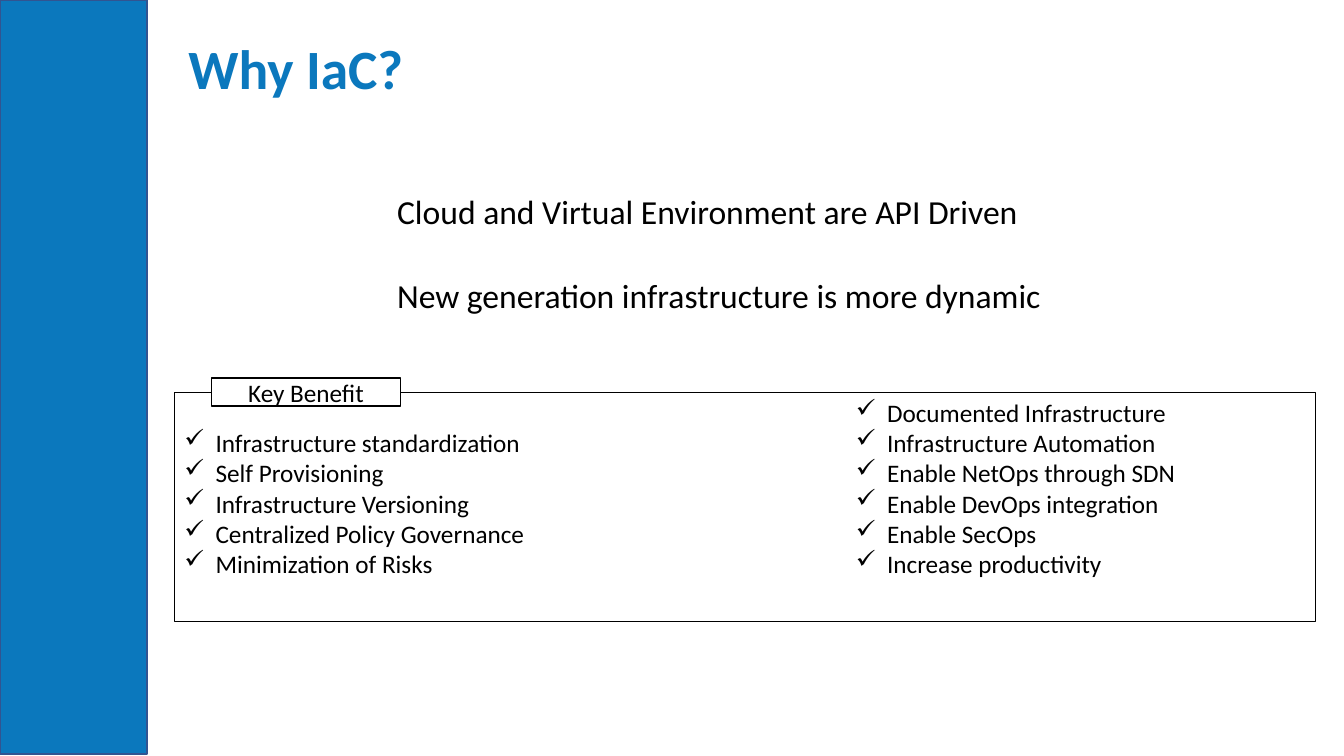
"""Build the "Why IaC?" slide with statements and a framed list of benefits."""
from dataclasses import dataclass

from pptx import Presentation
from pptx import util as u
from pptx.dml import color
from pptx.enum import shapes, text
from pptx.oxml import xmlchemy
from pptx.oxml.ns import qn


@dataclass(frozen=True)
class Theme:
    font: str = "Calibri"
    blue: str = "0B78BD"
    edge: str = "325491"
    black: str = "000000"
    white: str = "FFFFFF"
    title: float = 39.6
    statement: float = 24
    body: float = 18


THEME = Theme()
STATEMENTS = [
    "Cloud and Virtual Environment are API Driven",
    "New generation infrastructure is more dynamic",
]
FRAME_BENEFITS = [
    "Infrastructure standardization",
    "Self Provisioning",
    "Infrastructure Versioning",
    "Centralized Policy Governance",
    "Minimization of Risks",
]
SIDE_BENEFITS = [
    "Documented Infrastructure",
    "Infrastructure Automation",
    "Enable NetOps through SDN",
    "Enable DevOps integration",
    "Enable SecOps",
    "Increase productivity",
]


def inches(box):
    return [u.Inches(length) for length in box]


def rgb(value):
    return color.RGBColor.from_string(value)


def apply(target, values):
    for name, value in values.items():
        setattr(target, name, value)


def add_rectangle(slide, box, fill, line, width):
    shape = slide.shapes.add_shape(shapes.MSO_SHAPE.RECTANGLE, *inches(box))
    shape.shadow.inherit = False
    if fill:
        shape.fill.solid()
        shape.fill.fore_color.rgb = rgb(fill)
    else:
        shape.fill.background()
    shape.line.color.rgb = rgb(line)
    shape.line.width = u.Pt(width)
    return shape


def add_check(paragraph):
    properties = paragraph._p.get_or_add_pPr()
    properties.set("marL", str(u.Inches(0.31)))
    properties.set("indent", str(-u.Inches(0.31)))
    bullet = xmlchemy.OxmlElement("a:buChar")
    bullet.set("char", "✓")
    properties.append(bullet)


def write(shape, lines, size, ink=THEME.black, bold=False, checked=False,
          align=text.PP_ALIGN.LEFT, spacing=None, **frame_format):
    frame = shape.text_frame
    frame_values = {"word_wrap": True, "vertical_anchor": text.MSO_ANCHOR.TOP}
    apply(frame, {**frame_values, **frame_format})
    for index, line in enumerate(lines):
        paragraph = frame.add_paragraph() if index else frame.paragraphs[0]
        if checked:
            add_check(paragraph)
        apply(paragraph, {"alignment": align, "line_spacing": spacing})
        run = paragraph.add_run()
        run.text = line
        apply(run.font, {"name": THEME.font, "size": u.Pt(size), "bold": bold})
        run.font.color.rgb = rgb(ink)


def add_text(slide, box, lines, size, **text_format):
    write(slide.shapes.add_textbox(*inches(box)), lines, size, **text_format)


def add_benefits(slide):
    frame = add_rectangle(slide, (1.73, 3.89, 11.32, 2.28), None, THEME.black, 0.75)
    write(frame, FRAME_BENEFITS, THEME.body, checked=True, margin_top=u.Inches(0.35))
    label = add_rectangle(slide, (2.1, 3.75, 1.87, 0.28), THEME.white, THEME.black, 1)
    write(label, ["Key Benefit"], THEME.body, align=text.PP_ALIGN.CENTER,
          vertical_anchor=text.MSO_ANCHOR.MIDDLE)
    add_text(slide, (8.39, 3.89, 4.66, 2.28), SIDE_BENEFITS, THEME.body, checked=True)


def main():
    presentation = Presentation()
    apply(presentation, {"slide_width": u.Inches(13.33), "slide_height": u.Inches(7.5)})
    slide = presentation.slides.add_slide(presentation.slide_layouts[6])
    add_rectangle(slide, (0, 0, 1.46, 7.48), THEME.blue, THEME.edge, 1)
    add_text(slide, (1.77, 0.35, 11.11, 0.72), ["Why IaC?"], THEME.title, ink=THEME.blue,
             bold=True, spacing=0.9, vertical_anchor=text.MSO_ANCHOR.MIDDLE)
    for row, statement in enumerate(STATEMENTS):
        add_text(slide, (3.84, 1.84 + 0.84 * row, 8.3, 0.6), [statement], THEME.statement)
    add_benefits(slide)
    presentation.save("out.pptx")


if __name__ == "__main__":
    main()
